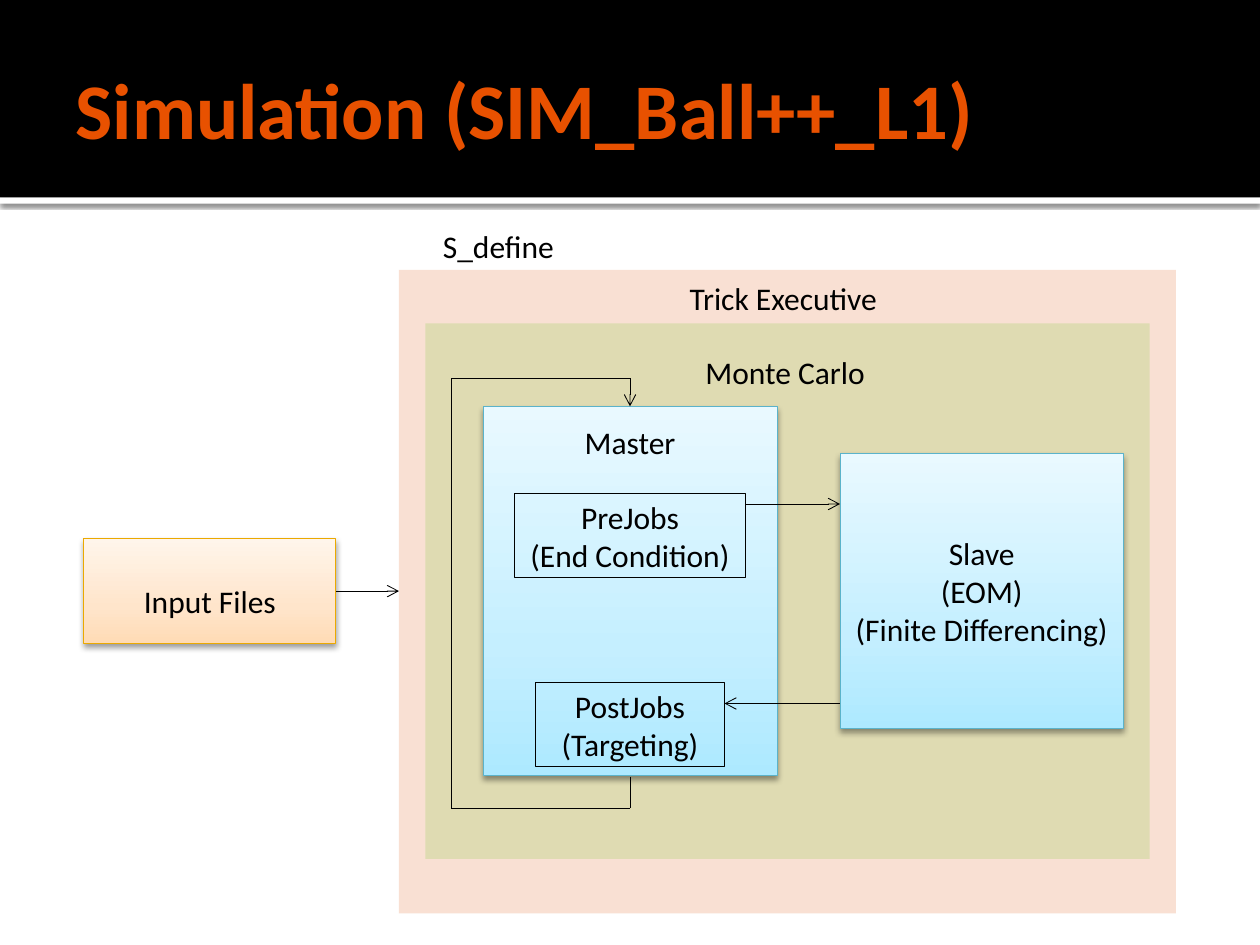
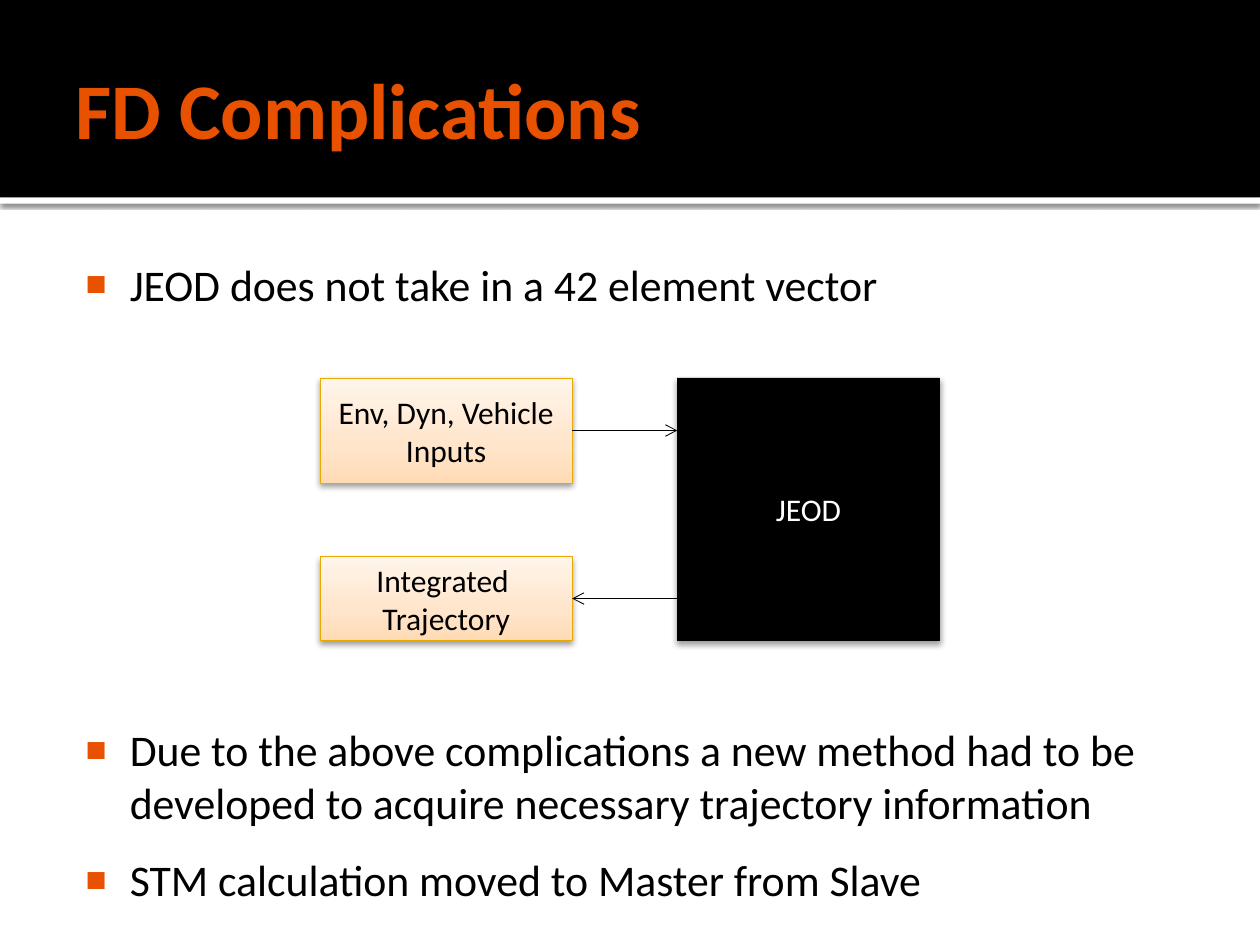
from dataclasses import dataclass
from itertools import pairwise
from typing import NamedTuple, Optional

from lxml.etree import SubElement
from pptx import Presentation
from pptx.dml.color import RGBColor
from pptx.enum.shapes import MSO_CONNECTOR as Conn, MSO_SHAPE as Geo
from pptx.enum.text import MSO_ANCHOR as Anchor, MSO_AUTO_SIZE as AutoSize, PP_ALIGN as Align
from pptx.oxml.ns import qn
from pptx.util import Inches, Pt

COLS, ROWS = 120, 90
WIDTH, HEIGHT = Inches(10), Inches(7.5)


class Shadow(NamedTuple):
    alpha: int
    blur: float
    dist: float


class Skin(NamedTuple):
    """Look of a box: one fill colour, or three gradient stops from bottom to top."""
    fill: tuple[str, ...] = ()
    line: Optional[str] = None
    shadow: Optional[Shadow] = None
    alpha: int = 100
    ink: str = "000000"


SOFT = Shadow(38, 3.5, 2)


@dataclass(frozen=True)
class Theme:
    font: str = "Calibri"
    accent: str = "E85100"
    ink: str = "000000"
    title_size: float = 45
    body_size: float = 25
    label_size: float = 18
    line_width: float = 0.5
    band: Skin = Skin(("000000",))
    rule: Skin = Skin(("FFFFFF",), shadow=Shadow(60, 2.5, 0.8))
    executive: Skin = Skin(("E88651",), alpha=25)
    monte_carlo: Skin = Skin(("92D050",), alpha=25)
    process: Skin = Skin(("ADE9FF", "C5EFFF", "E9F9FF"), "5BB3CA", SOFT)
    data: Skin = Skin(("FFDBB5", "FFE5CB", "FFF5EB"), "EBA900", SOFT)
    outline: Skin = Skin(line="000000")
    black_box: Skin = Skin(("000000",), "000000", SOFT, ink="FFFFFF")


T = Theme()


class Area(NamedTuple):
    """Place on the grid, in columns and rows."""
    col: float
    row: float
    cols: float
    rows: float

    def emu(self) -> tuple[int, int, int, int]:
        return x(self.col), y(self.row), x(self.cols), y(self.rows)


class Box(NamedTuple):
    area: Area
    skin: Skin
    text: str = ""
    anchor: Anchor = Anchor.MIDDLE
    spacing: float = 1.0


class Label(NamedTuple):
    area: Area
    text: str


class Route(NamedTuple):
    """Grid points joined by straight lines, with an arrowhead at the last one."""
    points: tuple[tuple[float, float], ...]


def x(col: float) -> int:
    return round(WIDTH * col / COLS)


def y(row: float) -> int:
    return round(HEIGHT * row / ROWS)


def rgb(value: str) -> RGBColor:
    return RGBColor.from_string(value)


def place(sp, area: Area) -> None:
    sp.left, sp.top, sp.width, sp.height = area.emu()


def set_insets(tf, left: float, top: float, right: float, bottom: float) -> None:
    tf.margin_left, tf.margin_top = Inches(left), Inches(top)
    tf.margin_right, tf.margin_bottom = Inches(right), Inches(bottom)


def format_text(tf, size: float, color: str, bold: bool = False) -> None:
    for p in tf.paragraphs:
        for r in p.runs:
            r.font.name, r.font.size, r.font.bold = T.font, Pt(size), bold
            r.font.color.rgb = rgb(color)


def add_color(parent, value: str, alpha: int = 100) -> None:
    color = SubElement(parent, qn("a:srgbClr"), val=value)
    if alpha < 100:
        SubElement(color, qn("a:alpha"), val=str(alpha * 1000))


def paint_fill(sp, skin: Skin) -> None:
    if not skin.fill:
        sp.fill.background()
    elif len(skin.fill) == 1:
        sp.fill.solid()
        sp.fill.fore_color.rgb = rgb(skin.fill[0])
        if skin.alpha < 100:
            color = sp.element.spPr.find(qn("a:solidFill"))[0]
            SubElement(color, qn("a:alpha"), val=str(skin.alpha * 1000))
    else:
        sp.fill.gradient()
        sp.fill.gradient_angle = 90
        stops = sp.element.spPr.find(qn("a:gradFill")).find(qn("a:gsLst"))
        stops.clear()
        for share, value in zip((0, 35, 100), skin.fill):
            add_color(SubElement(stops, qn("a:gs"), pos=str(share * 1000)), value)


def paint(sp, skin: Skin) -> None:
    paint_fill(sp, skin)
    if skin.line:
        sp.line.color.rgb = rgb(skin.line)
        sp.line.width = Pt(T.line_width)
    else:
        sp.line.fill.background()
    sp.shadow.inherit = False
    if skin.shadow:
        effects = sp.element.spPr.find(qn("a:effectLst"))
        outer = SubElement(effects, qn("a:outerShdw"), blurRad=str(Pt(skin.shadow.blur)),
                           dist=str(Pt(skin.shadow.dist)), dir="5400000", rotWithShape="0")
        add_color(outer, T.ink, skin.shadow.alpha)


def draw_box(s, box: Box):
    sp = s.shapes.add_shape(Geo.RECTANGLE, *box.area.emu())
    paint(sp, box.skin)
    if box.text:
        tf = sp.text_frame
        tf.text = box.text
        tf.word_wrap = False
        tf.vertical_anchor = box.anchor
        if box.anchor == Anchor.TOP:
            tf.margin_top = Inches(0.13)
        for p in tf.paragraphs:
            p.alignment, p.line_spacing = Align.CENTER, box.spacing
        format_text(tf, T.label_size, box.skin.ink)
    return sp


def draw_label(s, label: Label) -> None:
    tf = s.shapes.add_textbox(*label.area.emu()).text_frame
    tf.text = label.text
    tf.word_wrap = True
    format_text(tf, T.label_size, T.ink)


def draw_route(s, route: Route) -> None:
    for start, end in pairwise(route.points):
        c = s.shapes.add_connector(Conn.STRAIGHT, x(start[0]), y(start[1]), x(end[0]), y(end[1]))
        c.line.color.rgb = rgb(T.ink)
        c.line.width = Pt(T.line_width)
        spPr = c.element.spPr
        if end == route.points[-1]:
            SubElement(spPr.find(qn("a:ln")), qn("a:tailEnd"), type="arrow")
        SubElement(spPr, qn("a:effectLst"))


DRAW = {Box: draw_box, Label: draw_label, Route: draw_route}


def draw_all(s, items: list) -> None:
    for item in items:
        DRAW[type(item)](s, item)


def add_slide(prs, layout: int, title: str):
    """Add a slide with the shared header band and title."""
    s = prs.slides.add_slide(prs.slide_layouts[layout])
    sp = s.shapes.title
    for skin, area in ((T.rule, Area(0, 18.8, COLS, 0.6)), (T.band, Area(0, 0, COLS, 18.8))):
        sp.element.addprevious(draw_box(s, Box(area, skin)).element)
    place(sp, Area(6, 2, 108, 16.5))
    tf = sp.text_frame
    tf.text = title
    tf.auto_size = AutoSize.NONE
    tf.vertical_anchor = Anchor.MIDDLE
    set_insets(tf, 0.1, 0.05, 0.05, 0.05)
    tf.paragraphs[0].alignment = Align.LEFT
    format_text(tf, T.title_size, T.accent, bold=True)
    return s


def fill_body(sp, bullets: list[str], figure_gap: float) -> None:
    """Write the bullets, leaving figure_gap points under the first one."""
    place(sp, Area(6, 23.3, 108, 60.7))
    tf = sp.text_frame
    tf.text = "\n".join(bullets)
    tf.auto_size = AutoSize.NONE
    tf.vertical_anchor = Anchor.TOP
    set_insets(tf, 0.06, 0.1, 0.1, 0.05)
    for i, p in enumerate(tf.paragraphs):
        p.space_before = Pt(figure_gap if i == 1 else 0)
        p.space_after = Pt(14.2)
        pPr = p._p.get_or_add_pPr()
        pPr.set("marL", str(Inches(0.47)))
        pPr.set("indent", str(Inches(-0.35)))
        add_color(SubElement(pPr, qn("a:buClr")), T.accent)
        SubElement(pPr, qn("a:buSzPct"), val="80000")
        SubElement(pPr, qn("a:buChar"), char="■")
    format_text(tf, T.body_size, T.ink)


def build_simulation(prs) -> None:
    s = add_slide(prs, 5, "Simulation (SIM_Ball++_L1)")
    draw_all(s, [
        Box(Area(38, 25.7, 74, 61.3), T.executive),
        Box(Area(40.5, 30.8, 69, 51), T.monte_carlo),
        Box(Area(46, 38.7, 28, 35.2), T.process, "Master", Anchor.TOP),
        Box(Area(8, 51.3, 24, 10), T.data, "Input Files", spacing=1.5),
        Box(Area(80, 43.2, 27, 26.2), T.process, "Slave\n(EOM)\n(Finite Differencing)"),
        Box(Area(49, 47, 22, 8), T.outline, "PreJobs\n(End Condition)"),
        Box(Area(51, 65, 18, 8), T.outline, "PostJobs\n(Targeting)"),
        Label(Area(66, 33, 18, 4.8), "Monte Carlo"),
        Label(Area(41, 21, 14.5, 4.8), "S_define"),
        Label(Area(64.5, 26, 21, 4.8), "Trick Executive"),
        Route(((32, 56.3), (38, 56.3))),
        Route(((71, 48), (80, 48))),
        Route(((80, 67), (69, 67))),
        Route(((60, 74), (60, 77), (43, 77), (43, 36), (60, 36), (60, 38.7))),
    ])


def build_complications(prs) -> None:
    s = add_slide(prs, 1, "FD Complications")
    fill_body(s.placeholders[1], [
        "JEOD does not take in a 42 element vector",
        "Due to the above complications a new method had to be developed"
        " to acquire necessary trajectory information",
        "STM calculation moved to Master from Slave",
    ], figure_gap=222)
    draw_all(s, [
        Box(Area(64.5, 36, 25, 25), T.black_box, "JEOD"),
        Box(Area(30.5, 36, 24, 10), T.data, "Env, Dyn, Vehicle\nInputs"),
        Box(Area(30.5, 53, 24, 8), T.data, "Integrated \nTrajectory"),
        Route(((54.5, 41), (64.5, 41))),
        Route(((64.5, 57), (54.5, 57))),
    ])


def main() -> None:
    prs = Presentation()
    prs.slide_width, prs.slide_height = WIDTH, HEIGHT
    build_simulation(prs)
    build_complications(prs)
    prs.save("out.pptx")


if __name__ == "__main__":
    main()
